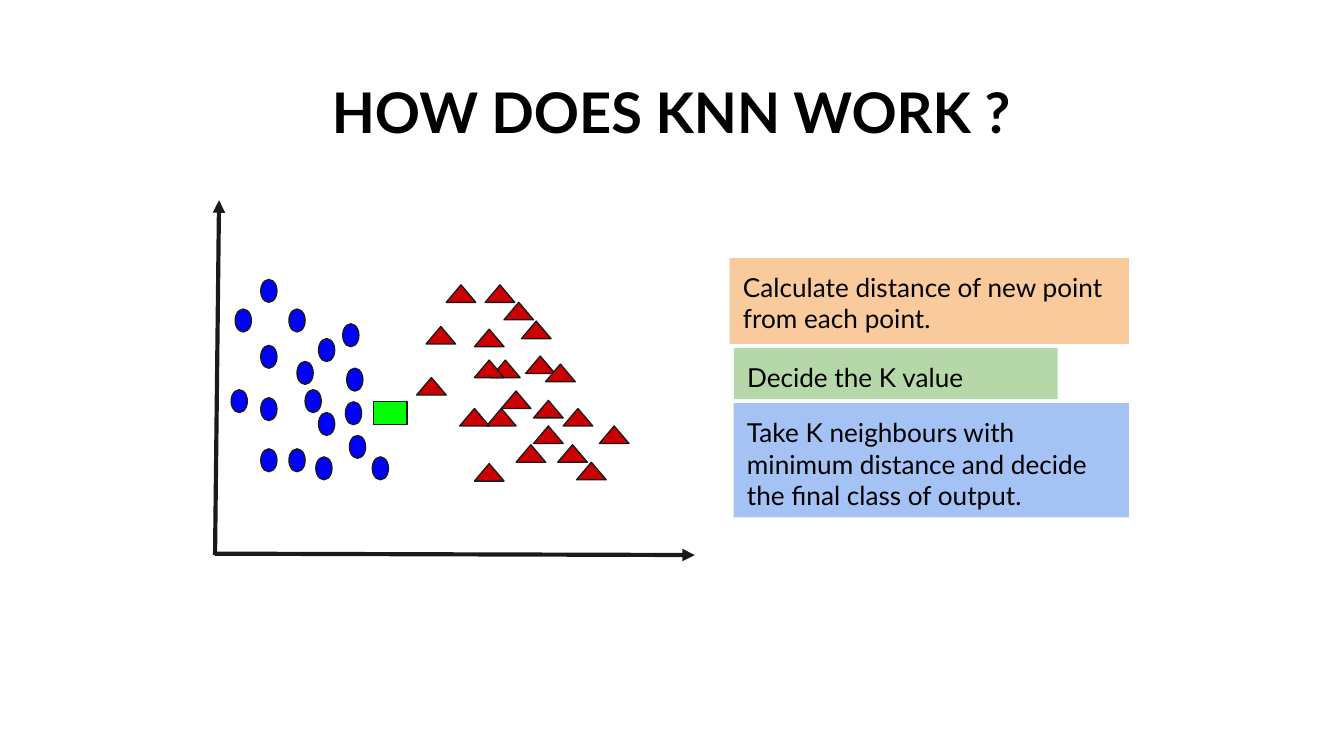
import pptx
import pptx.util
import pptx.dml.color
import pptx.enum.shapes
import pptx.enum.text
import pptx.oxml.ns
from lxml import etree

Inches = pptx.util.Inches
Shapes = pptx.enum.shapes.MSO_SHAPE
Align = pptx.enum.text.PP_ALIGN

# Content
SLIDE_WIDTH = Inches(10)
SLIDE_HEIGHT = SLIDE_WIDTH * 9 // 16
TITLE = "HOW DOES KNN WORK ?"
TITLE_BOX = (1.53, 0.48, 6.93, 0.71)
FONT, INK, OUTLINE = "Lato", "000000", "1A1A1A"

AXES = [((1.6, 4.12), (5.17, 4.13)), ((1.6, 4.13), (1.63, 1.49))]

CIRCLES = [
    (1.94, 2.08), (1.94, 2.57), (2.15, 2.3), (1.94, 2.96), (2.37, 2.52), (1.94, 3.34),
    (2.58, 2.74), (2.21, 2.69), (2.37, 3.07), (2.57, 2.99), (2.55, 2.41), (2.27, 2.9),
    (2.15, 3.34), (2.6, 3.24), (2.77, 3.4), (1.75, 2.3), (2.35, 3.4), (1.72, 2.9),
]
TRIANGLES = [
    (4.46, 3.17), (3.17, 2.43), (3.32, 2.12), (3.53, 2.45), (3.1, 2.81), (3.65, 2.68),
    (3.73, 2.91), (3.62, 3.04), (3.53, 2.68), (4.15, 3.31), (4.29, 3.44), (3.61, 2.12),
    (3.75, 2.25), (3.88, 2.39), (3.91, 2.65), (3.97, 2.98), (4.06, 2.71), (3.97, 3.17),
    (3.42, 3.04), (4.19, 3.04), (3.84, 3.31), (3.53, 3.45),
]
# Each class of points: preset, size, fill, positions
POINT_CLASSES = [
    (Shapes.FLOWCHART_CONNECTOR, (0.12, 0.17), "0000FF", CIRCLES),
    (Shapes.ISOSCELES_TRIANGLE, (0.22, 0.13), "CC0000", TRIANGLES),
    (Shapes.RECTANGLE, (0.25, 0.17), "00FF00", [(2.78, 2.99)]),
]
STEPS = [
    ("Calculate distance of new point from each point.", (5.43, 1.92, 2.97, 0.64), "F9CB9C"),
    ("Decide the K value", (5.46, 2.59, 2.41, 0.38), "B6D7A8"),
    ("Take K neighbours with minimum distance and decide the final class of output.",
     (5.46, 3, 2.94, 0.85), "A4C2F4"),
]


def color(value):
    return pptx.dml.color.RGBColor.from_string(value)


def set_all(target, values):
    for name, value in values.items():
        setattr(target, name, value)


def write(shape, text, size, bold, alignment):
    frame = shape.text_frame
    frame.text = text
    margins = dict.fromkeys(
        ("margin_left", "margin_top", "margin_right", "margin_bottom"), Inches(0.1))
    set_all(frame, {**margins, "word_wrap": True,
                    "auto_size": pptx.enum.text.MSO_AUTO_SIZE.NONE,
                    "vertical_anchor": pptx.enum.text.MSO_ANCHOR.TOP})
    paragraph = frame.paragraphs[0]
    paragraph.alignment = alignment
    font = paragraph.runs[0].font
    set_all(font, {"name": FONT, "size": pptx.util.Pt(size), "bold": bold})
    font.color.rgb = color(INK)


def set_line(line, width):
    line.color.rgb = color(OUTLINE)
    line.width = pptx.util.Pt(width)


def add_filled(slide, preset, box, fill):
    shape = slide.shapes.add_shape(preset, *map(Inches, box))
    shape.shadow.inherit = False
    shape.fill.solid()
    shape.fill.fore_color.rgb = color(fill)
    return shape


def add_axis(slide, start, end):
    axis = slide.shapes.add_connector(
        pptx.enum.shapes.MSO_CONNECTOR.STRAIGHT, *map(Inches, start + end))
    set_line(axis.line, 2.25)
    qn = pptx.oxml.ns.qn
    etree.SubElement(axis.line._get_or_add_ln(), qn("a:tailEnd"), type="triangle")
    etree.SubElement(axis._element.spPr, qn("a:effectLst"))


def main():
    presentation = pptx.Presentation()
    set_all(presentation, {"slide_width": SLIDE_WIDTH, "slide_height": SLIDE_HEIGHT})
    slide = presentation.slides.add_slide(presentation.slide_layouts.get_by_name("Title Only"))

    # Title
    title = slide.shapes.title
    set_all(title, dict(zip(("left", "top", "width", "height"), map(Inches, TITLE_BOX))))
    write(title, TITLE, 30, True, Align.CENTER)

    # Scatter of the two classes and the new point
    for start, end in AXES:
        add_axis(slide, start, end)
    for preset, size, fill, positions in POINT_CLASSES:
        for position in positions:
            point = add_filled(slide, preset, position + size, fill)
            set_line(point.line, 0.75)

    # Steps
    for text, box, fill in STEPS:
        step = add_filled(slide, Shapes.RECTANGLE, box, fill)
        step.line.fill.background()
        write(step, text, 14, False, Align.LEFT)

    presentation.save("out.pptx")


if __name__ == "__main__":
    main()
